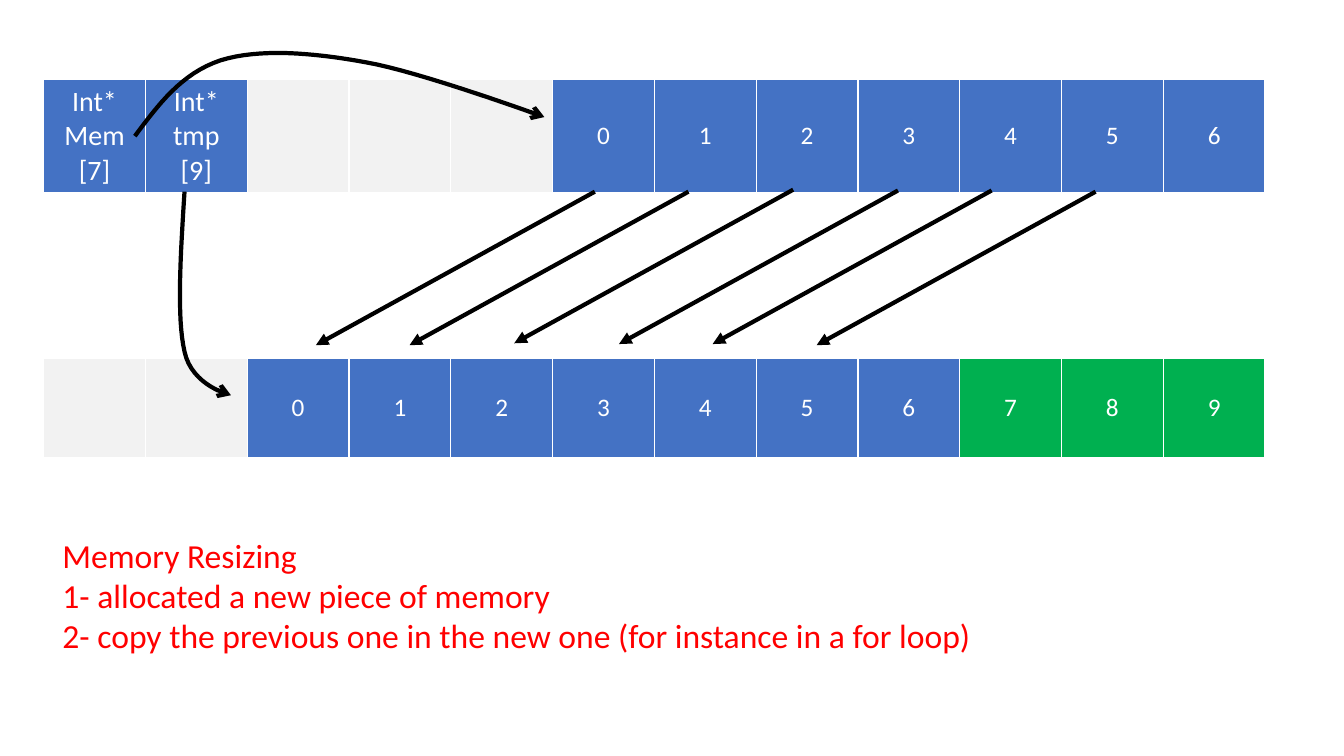
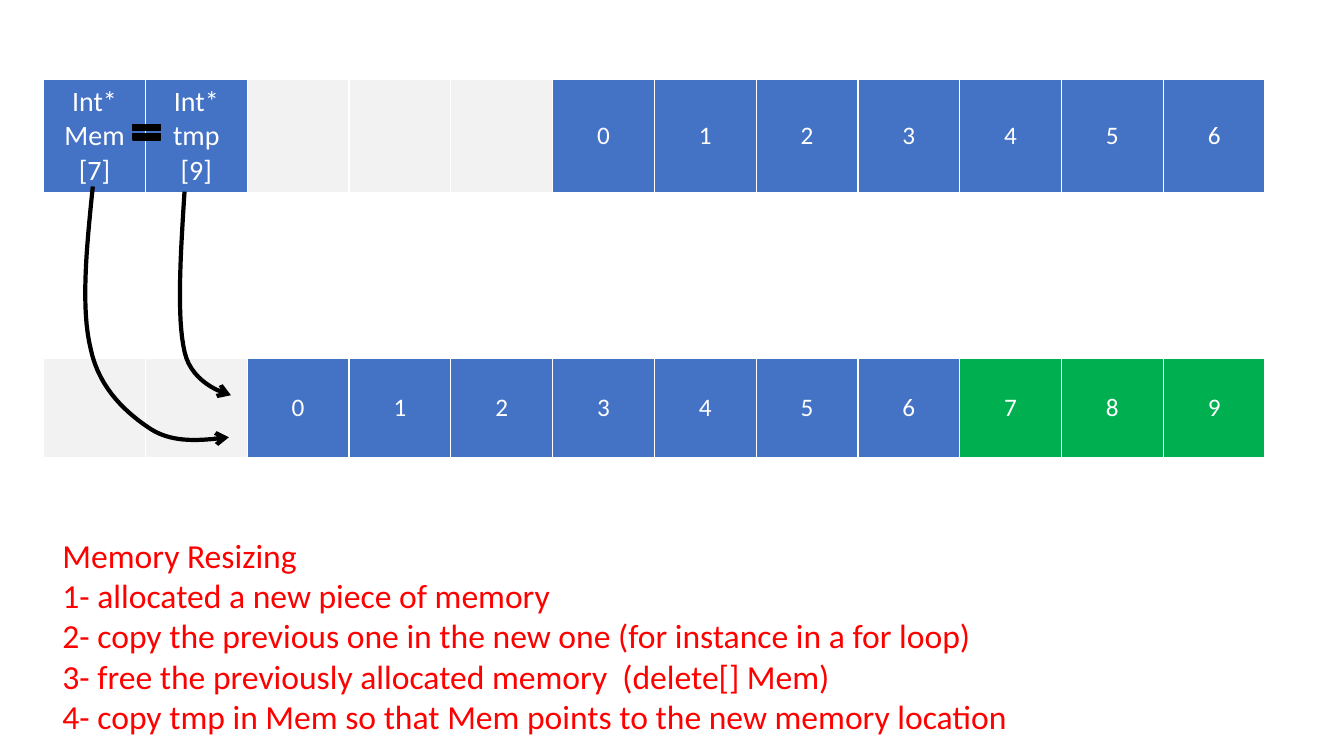
"""Two slides on resizing a block of memory."""
from lxml.etree import SubElement
from pptx import Presentation
from pptx.dml.color import RGBColor
from pptx.enum.shapes import MSO_CONNECTOR, MSO_SHAPE
from pptx.enum.text import MSO_ANCHOR, MSO_AUTO_SIZE, PP_ALIGN
from pptx.oxml.ns import qn
from pptx.util import Cm, Pt

FONT = "Calibri"
USED, FREE, ADDED = "4472C4", "F2F2F2", "00B050"
WHITE, BLACK, RED = "FFFFFF", "000000", "FF0000"

HEADING = "Memory Resizing"
STEPS = [
    "1- allocated a new piece of memory",
    "2- copy the previous one in the new one (for instance in a for loop)",
    "3- free the previously allocated memory  (delete[] Mem)",
    "4- copy tmp in Mem so that Mem points to the new memory location",
]
POINTERS = ["Int* Mem [7]", "Int* tmp [9]"]


def numbered(first, last, colour):
    return [(str(number), colour, 18) for number in range(first, last + 1)]


EMPTY = ("", FREE, 18)
OLD_BLOCK = [(name, USED, 20) for name in POINTERS] + [EMPTY] * 3 + numbered(0, 6, USED)
NEW_BLOCK = [EMPTY] * 2 + numbered(0, 6, USED) + numbered(7, 9, ADDED)
MEMORY_ROWS = [(2.01, 2.82, OLD_BLOCK), (9.02, 2.51, NEW_BLOCK)]
MEMORY_LEFT, CELL_WIDTH = 1.1, 2.565

TMP_TO_NEW = [(4.65, 4.83), (4.55, 6.4), (4.45, 8), (4.65, 8.86),
              (4.83, 9.73), (5.82, 9.96), (5.82, 9.96)]
MEM_TO_OLD = [(3.4, 3.43), (3.99, 2.64), (4.57, 1.85), (5.56, 1.52),
              (6.53, 1.22), (7.85, 1.32), (9.22, 1.57),
              (10.57, 1.8), (13.72, 2.95), (13.72, 2.95)]
MEM_TO_NEW = [(2.34, 4.7), (2.18, 6.25), (2.03, 7.77), (2.29, 8.81),
              (2.51, 9.83), (3.23, 10.44), (3.81, 10.82),
              (4.39, 11.18), (5.08, 11.1), (5.77, 11.02)]
COPY_STARTS = [(14.99, 4.83), (17.35, 4.83), (19.99, 4.78),
               (22.63, 4.8), (24.99, 4.8), (27.61, 4.83)]
COPY_SHIFT = (-7.03, 3.87)
EQUAL_SIGN = (3.23, 3, 0.94, 0.66)

SLIDES = [
    {"steps": STEPS[:2], "pointers": [TMP_TO_NEW, MEM_TO_OLD], "copies": COPY_STARTS, "equal": None},
    {"steps": STEPS, "pointers": [TMP_TO_NEW, MEM_TO_NEW], "copies": [], "equal": EQUAL_SIGN},
]
TEXT_LEFT, TEXT_TOP, TEXT_WIDTH, LINE_HEIGHT = 1.32, 13.34, 30.53, 1.02


def rgb(colour):
    return RGBColor.from_string(colour)


def style_run(run, size, colour):
    run.font.name, run.font.size, run.font.bold = FONT, Pt(size), False
    run.font.color.rgb = rgb(colour)


def place_text(holder, lines, top):
    holder.left, holder.top = Cm(TEXT_LEFT), Cm(top)
    holder.width, holder.height = Cm(TEXT_WIDTH), Cm(LINE_HEIGHT * len(lines) + 0.25)
    frame = holder.text_frame
    frame.text = "\n".join(lines)
    frame.word_wrap, frame.auto_size = True, MSO_AUTO_SIZE.NONE
    frame.vertical_anchor = MSO_ANCHOR.TOP
    for line in frame.paragraphs:
        line.alignment, line.line_spacing = PP_ALIGN.LEFT, 1.0
        line.space_before = line.space_after = Pt(0)
        properties = line._p.get_or_add_pPr()
        properties.set("marL", "0")
        properties.set("indent", "0")
        SubElement(properties, qn("a:buNone"))
        style_run(line.runs[0], 24, RED)


def add_memory_row(slide, top, height, blocks):
    memory = slide.shapes.add_table(1, len(blocks), Cm(MEMORY_LEFT), Cm(top),
                                    Cm(CELL_WIDTH * len(blocks)), Cm(height)).table
    memory.horz_banding = False
    for cell, (label, colour, size) in zip(memory.rows[0].cells, blocks):
        cell.fill.solid()
        cell.fill.fore_color.rgb = rgb(colour)
        cell.text = label
        cell.vertical_anchor = MSO_ANCHOR.MIDDLE
        cell.text_frame.paragraphs[0].alignment = PP_ALIGN.CENTER
        for run in cell.text_frame.paragraphs[0].runs:
            style_run(run, size, WHITE)


def style_arrow(arrow, head):
    arrow.line.color.rgb, arrow.line.width = rgb(BLACK), Pt(3)
    properties = arrow._element.spPr
    SubElement(properties.find(qn("a:ln")), qn("a:tailEnd"), type=head)
    SubElement(properties, qn("a:effectLst"))


def bezier(controls, t):
    weights = ((1 - t) ** 3, 3 * t * (1 - t) ** 2, 3 * t * t * (1 - t), t ** 3)
    return tuple(Cm(sum(w * c for w, c in zip(weights, axis))) for axis in zip(*controls))


def add_pointer(slide, controls, steps=16):
    points = [bezier(controls[start:start + 4], step / steps)
              for start in range(0, len(controls) - 1, 3)
              for step in range(1, steps + 1)]
    outline = slide.shapes.build_freeform(*(Cm(c) for c in controls[0]), scale=1.0)
    outline.add_line_segments(points, close=False)
    pointer = outline.convert_to_shape()
    pointer.fill.background()
    style_arrow(pointer, "arrow")


def add_copy_arrow(slide, x, y):
    ends = (x, y, x + COPY_SHIFT[0], y + COPY_SHIFT[1])
    arrow = slide.shapes.add_connector(MSO_CONNECTOR.STRAIGHT, *(Cm(c) for c in ends))
    style_arrow(arrow, "triangle")


def add_equal_sign(slide, box):
    sign = slide.shapes.add_shape(MSO_SHAPE.MATH_EQUAL, *(Cm(c) for c in box))
    sign.shadow.inherit = False
    sign.fill.solid()
    sign.fill.fore_color.rgb = sign.line.color.rgb = rgb(BLACK)
    sign.line.width = Pt(1)


def main():
    deck = Presentation()
    deck.slide_width, deck.slide_height = Cm(33.87), Cm(19.05)
    for content in SLIDES:
        slide = deck.slides.add_slide(deck.slide_layouts[1])
        place_text(slide.shapes.title, [HEADING], TEXT_TOP)
        place_text(slide.placeholders[1], content["steps"], TEXT_TOP + LINE_HEIGHT)
        for row in MEMORY_ROWS:
            add_memory_row(slide, *row)
        for controls in content["pointers"]:
            add_pointer(slide, controls)
        for start in content["copies"]:
            add_copy_arrow(slide, *start)
        if content["equal"]:
            add_equal_sign(slide, content["equal"])
    deck.save("out.pptx")


if __name__ == "__main__":
    main()
